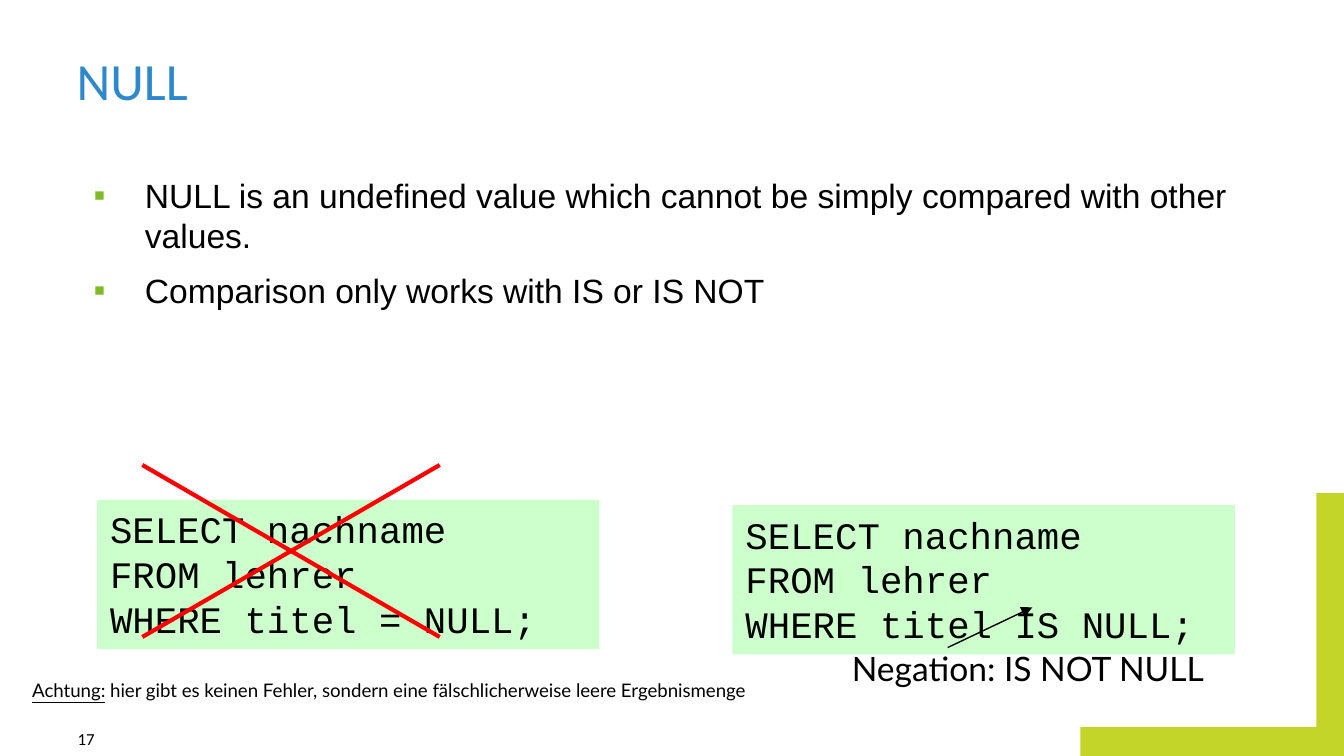
import pptx
import pptx.util
import pptx.dml.color
import pptx.enum.shapes
import pptx.enum.text
import pptx.oxml
import pptx.oxml.ns
import lxml.etree

Cm = pptx.util.Cm
Pt = pptx.util.Pt
ANCHOR = pptx.enum.text.MSO_ANCHOR
SHAPE = pptx.enum.shapes.MSO_SHAPE


def color(value):
    return pptx.dml.color.RGBColor.from_string(value)


def write(shape, lines, font, frame_format):
    frame = shape.text_frame
    for name, value in frame_format.items():
        setattr(frame, name, value)
    for index, runs in enumerate(lines):
        paragraph = frame.paragraphs[0] if index == 0 else frame.add_paragraph()
        paragraph.alignment = pptx.enum.text.PP_ALIGN.LEFT
        for text, underline in runs:
            run = paragraph.add_run()
            run.text = text
            for name, value in font.items():
                setattr(run.font, name, value)
            run.font.color.rgb = color("000000")
            if underline:
                run.font.underline = True
    return frame


presentation = pptx.Presentation()
presentation.slide_width = Cm(25.4)
presentation.slide_height = Cm(14.29)
slide = presentation.slides.add_slide(presentation.slide_layouts[6])
shapes = slide.shapes

corner = shapes.add_shape(SHAPE.CORNER, Cm(20.42), Cm(9.32), Cm(5), Cm(5))
corner.adjustments[0] = 0.115
corner.adjustments[1] = 0.108
corner.shadow.inherit = False
corner.fill.solid()
corner.fill.fore_color.rgb = color("C4D52A")
corner.line.fill.background()
corner._element.spPr.xfrm.set("flipH", "1")

no_margins = {"margin_left": 0, "margin_top": 0, "margin_right": 0, "margin_bottom": 0}
bottom = {**no_margins, "vertical_anchor": ANCHOR.BOTTOM, "word_wrap": True}

title = shapes.add_textbox(Cm(1.45), Cm(0.36), Cm(22.86), Cm(1.73))
title_frame = write(title, [[("NULL", False)]], {"size": Pt(28), "name": "Calibri"}, bottom)
title_frame.paragraphs[0].line_spacing = Pt(28)
title_frame.paragraphs[0].runs[0].font.color.rgb = color("2D89CC")

for left, top, comparison in [(13.84, 9.55, "IS"), (1.83, 9.45, "=")]:
    query = shapes.add_shape(SHAPE.RECTANGLE, Cm(left), Cm(top), Cm(9.5), Cm(2.82))
    query.shadow.inherit = False
    query.fill.solid()
    query.fill.fore_color.rgb = color("CCFFCC")
    query.line.fill.background()
    code = ["SELECT nachname", "FROM lehrer", f"WHERE titel {comparison} NULL;"]
    write(query, [[(line, False)] for line in code],
          {"size": Pt(20), "name": "Courier New"},
          {"vertical_anchor": ANCHOR.TOP, "word_wrap": True})

for start_x, start_y, end_x, end_y, line_color, width, arrow in [
    (2.69, 12.04, 8.31, 8.79, "FF0000", 2.25, False),
    (2.69, 8.79, 8.31, 12.04, "FF0000", 2.25, False),
    (17.91, 12.24, 19.51, 11.48, "000000", 0.75, True),
]:
    connector = shapes.add_connector(
        pptx.enum.shapes.MSO_CONNECTOR.STRAIGHT,
        Cm(start_x), Cm(start_y), Cm(end_x), Cm(end_y))
    connector.line.color.rgb = color(line_color)
    connector.line.width = Pt(width)
    lxml.etree.SubElement(connector._element.spPr, pptx.oxml.ns.qn("a:effectLst"))
    if arrow:
        line_element = connector._element.spPr.find(pptx.oxml.ns.qn("a:ln"))
        tail = lxml.etree.SubElement(line_element, pptx.oxml.ns.qn("a:tailEnd"))
        tail.set("type", "triangle")

warning = [("Achtung:", True),
           (" hier gibt es keinen Fehler, sondern eine fälschlicherweise leere Ergebnismenge", False)]
negation = [("Negation: IS NOT NULL", False)]
for left, top, width, height, runs, size in [
    (0.36, 12.7, 14.43, 0.69, warning, 10),
    (15.85, 12.12, 7.19, 1.02, negation, 18),
]:
    note = shapes.add_textbox(Cm(left), Cm(top), Cm(width), Cm(height))
    write(note, [runs], {"size": Pt(size), "name": "Lato"}, {"word_wrap": False})

statements = [
    "NULL is an undefined value which cannot be simply compared with other values.",
    "Comparison only works with IS or IS NOT",
]
body = shapes.add_textbox(Cm(1.57), Cm(3.17), Cm(22.07), Cm(5.05))
body_format = {"margin_left": Cm(0.2), "margin_top": Cm(0.13), "margin_right": Cm(0.25),
               "margin_bottom": 0, "word_wrap": True}
body_frame = write(body, [[(statement, False)] for statement in statements],
                   {"size": Pt(18), "name": "Arial"}, body_format)
for paragraph in body_frame.paragraphs:
    paragraph.space_before = Pt(8)
    properties = paragraph._p.get_or_add_pPr()
    properties.set("marL", str(Cm(0.97)))
    properties.set("indent", str(-Cm(0.97)))
    bullet_color = lxml.etree.SubElement(properties, pptx.oxml.ns.qn("a:buClr"))
    lxml.etree.SubElement(bullet_color, pptx.oxml.ns.qn("a:srgbClr")).set("val", "80BA24")
    lxml.etree.SubElement(properties, pptx.oxml.ns.qn("a:buFont")).set("typeface", "Arial")
    lxml.etree.SubElement(properties, pptx.oxml.ns.qn("a:buChar")).set("char", "▪")

page_number = shapes.add_textbox(Cm(1.47), Cm(13.77), Cm(0.61), Cm(0.38))
write(page_number, [[("17", False)]], {"size": Pt(9), "name": "Calibri"}, bottom)

presentation.save("out.pptx")
